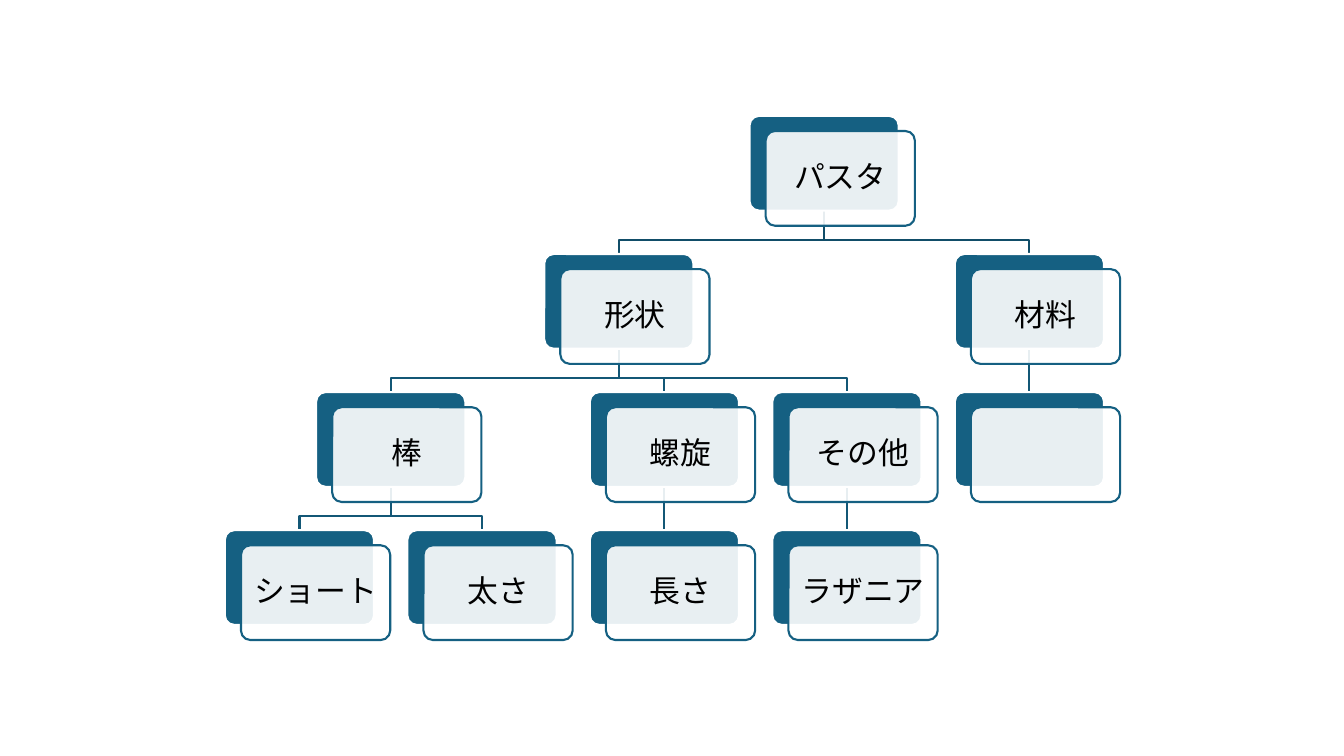
from lxml import etree
from pptx import Presentation
from pptx.dml.color import RGBColor
from pptx.enum import shapes, text
from pptx.oxml import ns
from pptx.util import Inches, Pt

TREE = ("パスタ", [
    ("形状", [
        ("棒", [("ショート", []), ("太さ", [])]),
        ("螺旋", [("長さ", [])]),
        ("その他", [("ラザニア", [])]),
    ]),
    ("材料", [("", [])]),
])

FONT = "Noto Sans CJK JP"
TEAL, WHITE, BLACK = "156082", "FFFFFF", "000000"
LINE_COLORS = ["114D68", "135776", "135776"]
LEFT, TOP = 2.23, 1.15
COLUMN_STEP, ROW_STEP = 1.81, 1.37
WIDTH, HEIGHT = 1.48, 0.94
SHIFT_X, SHIFT_Y = 0.16, 0.15
BEND = 0.29
FRAME_FORMAT = {
    "word_wrap": False,
    "vertical_anchor": text.MSO_ANCHOR.MIDDLE,
    "margin_left": Inches(0.09),
    "margin_right": Inches(0.09),
    "margin_top": Inches(0.09),
    "margin_bottom": Inches(0.09),
}
PARA_FORMAT = {"alignment": text.PP_ALIGN.CENTER, "line_spacing": 0.9}
FONT_FORMAT = {"name": FONT, "size": Pt(22)}


def color(value):
    return RGBColor.from_string(value)


def apply(target, values):
    for name, value in values.items():
        setattr(target, name, value)


def place(node, depth, next_column, boxes, links):
    label, children = node
    index = len(boxes)
    boxes.append(None)
    if children:
        columns = []
        for child in children:
            column, next_column = place(child, depth + 1, next_column, boxes, links)
            columns.append(column)
        center = (columns[0] + columns[-1]) / 2
        links.extend((depth, center, column) for column in columns)
    else:
        center, next_column = next_column, next_column + 1
    boxes[index] = (label, depth, center)
    return center, next_column


def position(column, depth):
    return LEFT + column * COLUMN_STEP, TOP + depth * ROW_STEP


def set_line(shape, value):
    shape.line.color.rgb = color(value)
    shape.line.width = Pt(1.5)


def add_link(page, depth, parent, child):
    x1, y1 = position(parent, depth)
    x2, y2 = position(child, depth + 1)
    x1, x2, y1 = x1 + WIDTH / 2, x2 + WIDTH / 2, y1 + HEIGHT
    if parent == child:
        ends = [Inches(v) for v in (x1, y1, x2, y2)]
        link = page.shapes.add_connector(shapes.MSO_CONNECTOR.STRAIGHT, *ends)
        etree.SubElement(link.element.spPr, ns.qn("a:effectLst"))
    else:
        points = [(x1, y1 + BEND), (x2, y1 + BEND), (x2, y2)]
        builder = page.shapes.build_freeform(Inches(x1), Inches(y1))
        builder.add_line_segments([(Inches(x), Inches(y)) for x, y in points], close=False)
        link = builder.convert_to_shape()
        link.fill.background()
        link.shadow.inherit = False
    set_line(link, LINE_COLORS[depth])


def add_box(page, x, y, fill, line):
    box = page.shapes.add_shape(
        shapes.MSO_SHAPE.ROUNDED_RECTANGLE,
        Inches(x), Inches(y), Inches(WIDTH), Inches(HEIGHT))
    box.adjustments[0] = 0.1
    box.shadow.inherit = False
    box.fill.solid()
    box.fill.fore_color.rgb = color(fill)
    set_line(box, line)
    return box


def add_card(page, label, depth, column):
    x, y = position(column, depth)
    add_box(page, x, y, TEAL, WHITE)
    card = add_box(page, x + SHIFT_X, y + SHIFT_Y, WHITE, TEAL)
    fill = card.element.spPr.find(ns.qn("a:solidFill"))
    etree.SubElement(fill[0], ns.qn("a:alpha"), val="90000")
    if not label:
        return
    apply(card.text_frame, FRAME_FORMAT)
    para = card.text_frame.paragraphs[0]
    apply(para, PARA_FORMAT)
    span = para.add_run()
    span.text = label
    apply(span.font, FONT_FORMAT)
    span.font.color.rgb = color(BLACK)
    etree.SubElement(span.font._element, ns.qn("a:ea"), typeface=FONT)


def main():
    deck = Presentation()
    deck.slide_width, deck.slide_height = Inches(13.33), Inches(7.5)
    page = deck.slides.add_slide(deck.slide_layouts[6])
    boxes, links = [], []
    place(TREE, 0, 0, boxes, links)
    for link in links:
        add_link(page, *link)
    for box in boxes:
        add_card(page, *box)
    deck.save("out.pptx")


if __name__ == "__main__":
    main()
